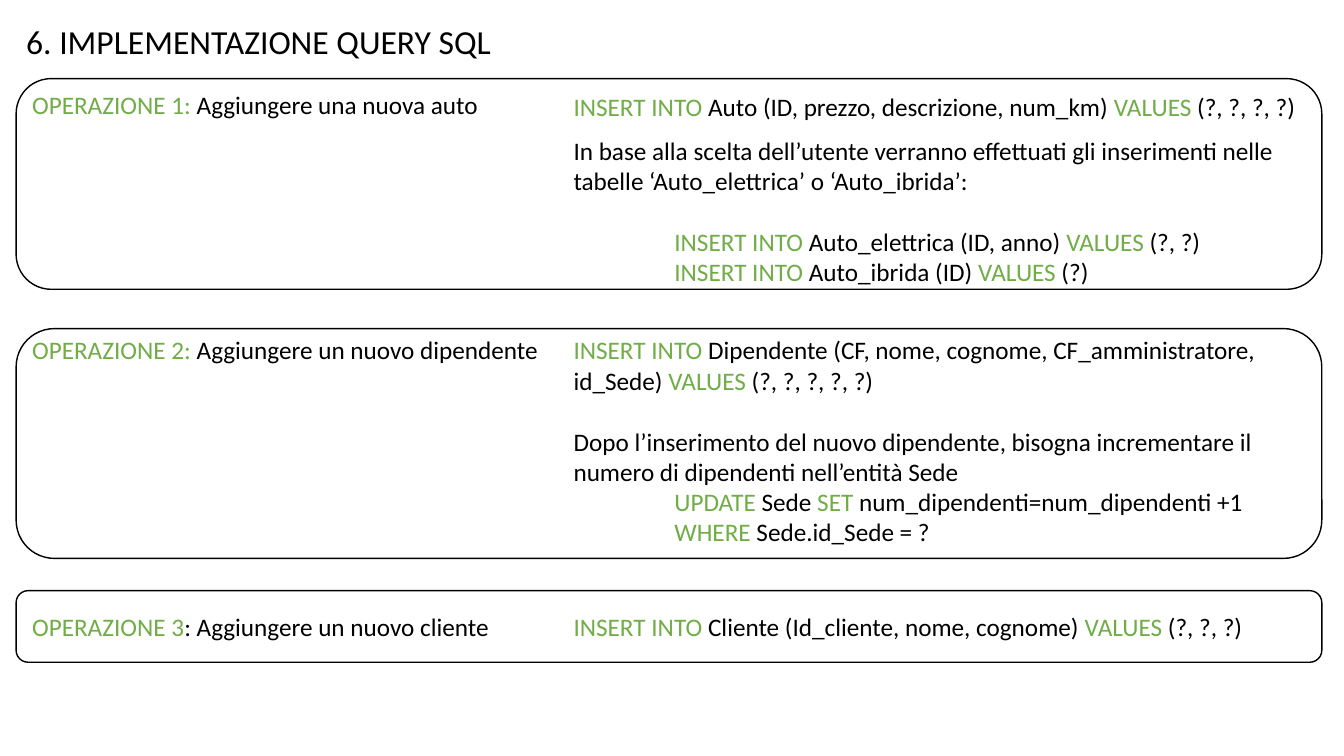
"""Build the slide that lists the SQL queries of the project."""
from dataclasses import dataclass

import pptx
import pptx.dml.color
import pptx.enum.shapes
import pptx.enum.text
import pptx.util

Inches = pptx.util.Inches
Color = pptx.dml.color.RGBColor


@dataclass(frozen=True)
class Theme:
    """Colours, type sizes and line measures of the slide."""
    font: str = "Calibri"
    ink: Color = Color(0x00, 0x00, 0x00)
    paper: Color = Color(0xFF, 0xFF, 0xFF)
    keyword: Color = Color(0x70, 0xAD, 0x47)
    title_size: int = 24
    body_size: int = 18
    blank_line: int = 22
    outline: int = 1


@dataclass(frozen=True)
class Line:
    """A paragraph whose keywords stand between bars."""
    text: str
    indent: float = 0
    gap: int = 0


@dataclass(frozen=True)
class Block:
    """A text box at a given drop below the top of its panel."""
    drop: float
    height: float
    lines: tuple


@dataclass(frozen=True)
class Operation:
    """A panel with a label on the left and queries on the right."""
    top: float
    height: float
    label: Block
    queries: tuple


THEME = Theme()
WIDTH, HEIGHT = 13.33, 7.5
MARGIN = 0.16
PANEL_WIDTH = 12.95
LABEL_LEFT, LABEL_WIDTH = 0.06, 5.28
QUERY_LEFT, QUERY_WIDTH = 5.43, 7.75
TAB = 1

OPERATIONS = (
    Operation(0.78, 2.09, Block(0.06, 0.4, (
        Line("|OPERAZIONE 1: |Aggiungere una nuova auto"),)), (
        Block(0.08, 0.4, (
            Line("|INSERT INTO |Auto (ID, prezzo, descrizione, num_km) |VALUES| (?, ?, ?, ?)"),)),
        Block(0.51, 1.62, (
            Line("In base alla scelta dell’utente verranno effettuati gli inserimenti "
                 "nelle tabelle ‘Auto_elettrica’ o ‘Auto_ibrida’:"),
            Line("|INSERT INTO |Auto_elettrica (ID, anno) |VALUES| (?, ?)", TAB, THEME.blank_line),
            Line("|INSERT INTO |Auto_ibrida (ID) |VALUES| (?)", TAB))))),
    Operation(3.26, 2.28, Block(0.01, 0.4, (
        Line("|OPERAZIONE 2:| Aggiungere un nuovo dipendente"),)), (
        Block(0.01, 2.22, (
            Line("|INSERT INTO |Dipendente (CF, nome, cognome, CF_amministratore, id_Sede) "
                 "|VALUES| (?, ?, ?, ?, ?)"),
            Line("Dopo l’inserimento del nuovo dipendente, bisogna incrementare il numero "
                 "di dipendenti nell’entità Sede", gap=THEME.blank_line),
            Line("|UPDATE| Sede |SET| num_dipendenti=num_dipendenti +1", TAB),
            Line("|WHERE| Sede.id_Sede = ?", TAB))),)),
    Operation(5.86, 0.71, Block(0.16, 0.4, (
        Line("|OPERAZIONE 3|: Aggiungere un nuovo cliente"),)), (
        Block(0.16, 0.4, (
            Line("|INSERT INTO |Cliente (Id_cliente, nome, cognome) |VALUES| (?, ?, ?)"),)),)),
)


def write_line(para, line):
    """Write a line, colouring every part between bars as a keyword."""
    if line.indent:
        para._p.get_or_add_pPr().set("marL", str(Inches(line.indent)))
    if line.gap:
        para.space_before = pptx.util.Pt(line.gap)
    para.font.name = THEME.font
    para.font.size = pptx.util.Pt(THEME.body_size)
    for index, part in enumerate(line.text.split("|")):
        if part:
            span = para.add_run()
            span.text = part
            span.font.color.rgb = THEME.keyword if index % 2 else THEME.ink


def add_block(page, left, top, width, block):
    """Add a text box holding the lines of a block."""
    box = page.shapes.add_textbox(*map(Inches, (left, top + block.drop, width, block.height)))
    frame = box.text_frame
    frame.word_wrap = True
    for index, line in enumerate(block.lines):
        write_line(frame.add_paragraph() if index else frame.paragraphs[0], line)


def add_operation(page, left, operation):
    """Add the rounded panel of an operation with its label and queries."""
    top = operation.top
    panel = page.shapes.add_shape(
        pptx.enum.shapes.MSO_SHAPE.ROUNDED_RECTANGLE,
        *map(Inches, (left, top, PANEL_WIDTH, operation.height)))
    panel.shadow.inherit = False
    panel.fill.solid()
    panel.fill.fore_color.rgb = THEME.paper
    panel.line.color.rgb = THEME.ink
    panel.line.width = pptx.util.Pt(THEME.outline)
    add_block(page, left + LABEL_LEFT, top, LABEL_WIDTH, operation.label)
    for block in operation.queries:
        add_block(page, left + QUERY_LEFT, top, QUERY_WIDTH, block)


def set_title(page, text, left, top, width, height):
    """Place and format the title placeholder."""
    title = page.shapes.title
    title.left, title.top, title.width, title.height = map(Inches, (left, top, width, height))
    title.text_frame.text = text
    title.text_frame.word_wrap = False
    title.text_frame.auto_size = pptx.enum.text.MSO_AUTO_SIZE.NONE
    title.text_frame.vertical_anchor = pptx.enum.text.MSO_ANCHOR.TOP
    para = title.text_frame.paragraphs[0]
    para.alignment = pptx.enum.text.PP_ALIGN.LEFT
    para.font.name = THEME.font
    para.font.size = pptx.util.Pt(THEME.title_size)
    para.font.color.rgb = THEME.ink


def main():
    """Build and save the deck."""
    deck = pptx.Presentation()
    deck.slide_width, deck.slide_height = Inches(WIDTH), Inches(HEIGHT)
    page = deck.slides.add_slide(deck.slide_layouts[5])
    set_title(page, "6. IMPLEMENTAZIONE QUERY SQL", MARGIN, MARGIN, 4.85, 0.5)
    for operation in OPERATIONS:
        add_operation(page, MARGIN, operation)
    deck.save("out.pptx")


if __name__ == "__main__":
    main()
